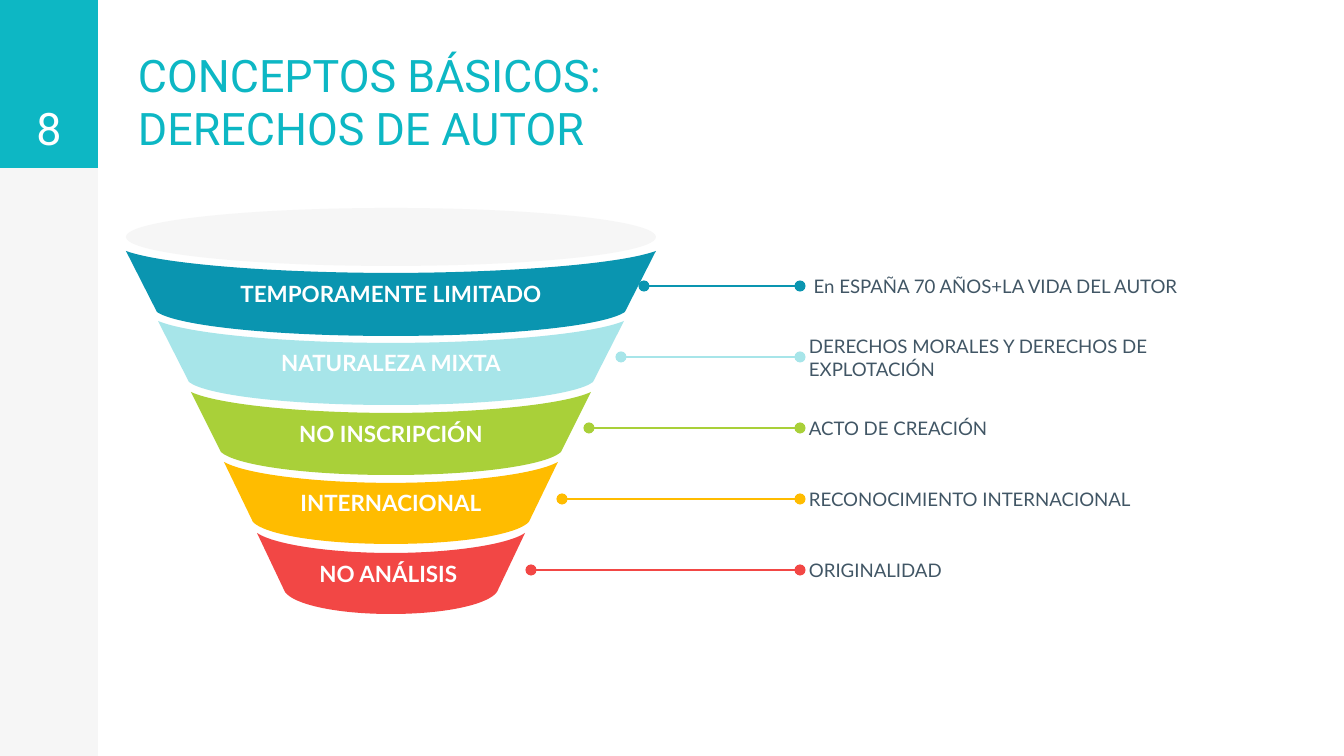
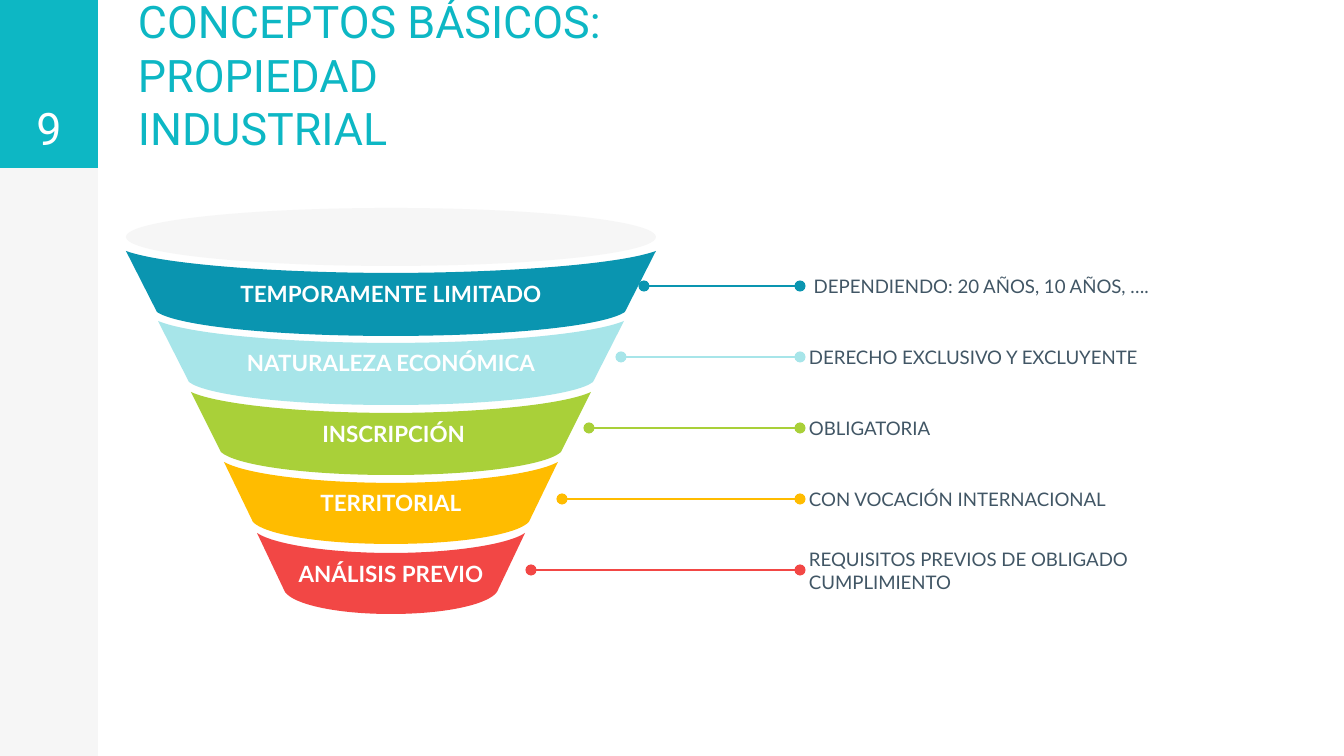
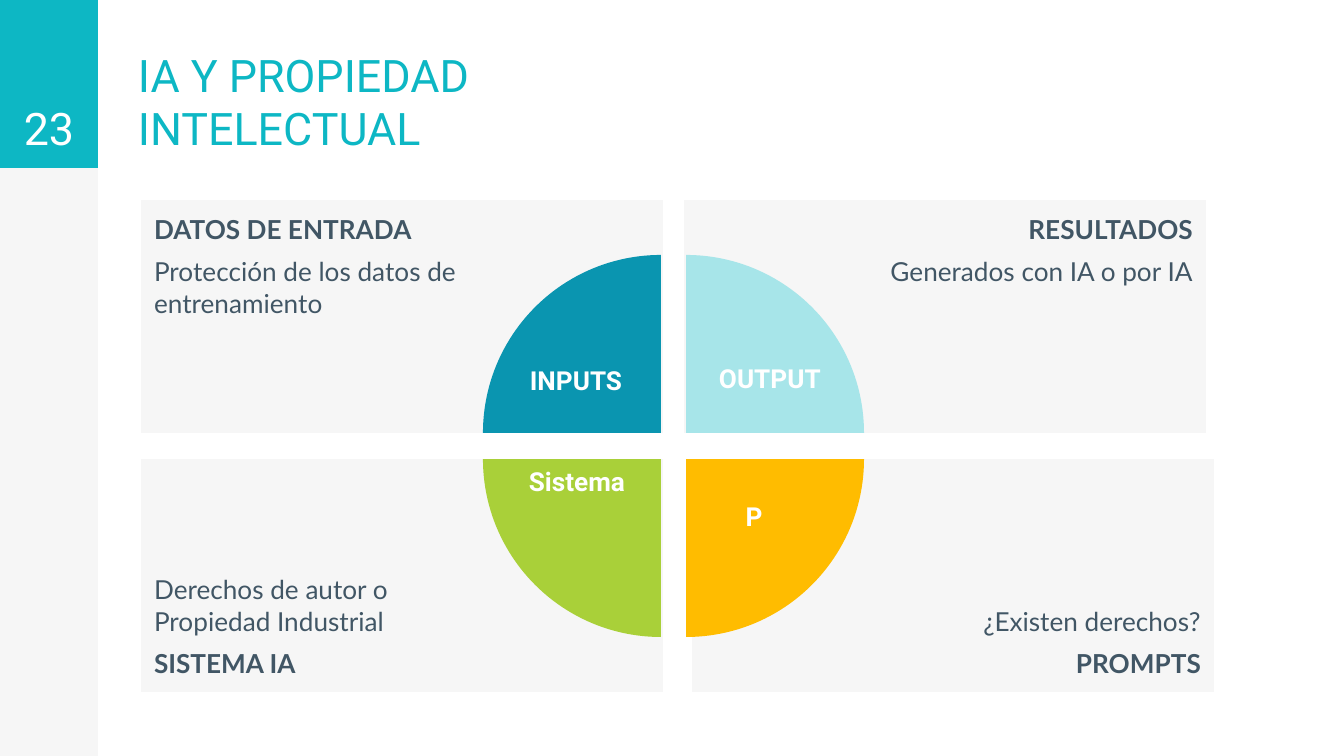
from lxml import etree
from pptx import Presentation
from pptx.dml.color import RGBColor
from pptx.enum.shapes import MSO_CONNECTOR, MSO_SHAPE
from pptx.enum.text import MSO_ANCHOR, MSO_AUTO_SIZE, PP_ALIGN
from pptx.oxml.ns import qn
from pptx.util import Emu, Pt

RECT, OVAL, PIE = MSO_SHAPE.RECTANGLE, MSO_SHAPE.OVAL, MSO_SHAPE.PIE
STRAIGHT = MSO_CONNECTOR.STRAIGHT
TOP, MIDDLE, BOTTOM = MSO_ANCHOR.TOP, MSO_ANCHOR.MIDDLE, MSO_ANCHOR.BOTTOM
LEFT, CENTER, RIGHT = PP_ALIGN.LEFT, PP_ALIGN.CENTER, PP_ALIGN.RIGHT
NO_AUTOFIT = MSO_AUTO_SIZE.NONE

# Shared style
EMU_PER_PX = 914400 / 134.4
SLIDE_W, SLIDE_H = 1344, 756
SIDEBAR_W, HEADER_H = 98, 168
TEAL, PALE, SLATE, WHITE = "0DB7C4", "F6F6F6", "415665", "FFFFFF"
BLUE, AQUA, GREEN, AMBER, RED = "0A95B0", "A7E5E9", "A9D039", "FFBC00", "F24745"
HEAD_FONT, BODY_FONT = "Roboto", "Lato"
HEADER_INSETS = (14, 14, 14, 14)
TITLE_ONLY = 5

# Funnel geometry
FUNNEL_CENTER = 391
FUNNEL_COLORS = (BLUE, AQUA, GREEN, AMBER, RED)
LEADER_STARTS = (644, 621, 589, 562, 531)
LEADER_END = 800


def px(length):
    return Emu(round(length * EMU_PER_PX))


def color(hex_code):
    return RGBColor.from_string(hex_code)


def write(frame, text, font=BODY_FONT, size=14, ink=SLATE, bold_lines=(),
          align=LEFT, anchor=TOP, insets=(13, 13, 13, 13), gap=0):
    """Fill a text frame, one paragraph per line; insets are left, top, right, bottom."""
    frame.word_wrap = True
    frame.auto_size = NO_AUTOFIT
    frame.vertical_anchor = anchor
    (frame.margin_left, frame.margin_top,
     frame.margin_right, frame.margin_bottom) = map(px, insets)
    for index, line in enumerate(text.split("\n")):
        paragraph = frame.add_paragraph() if index else frame.paragraphs[0]
        paragraph.alignment = align
        if index:
            paragraph.space_before = paragraph.space_after = Pt(gap)
        run = paragraph.add_run()
        run.text = line
        run.font.name = font
        run.font.size = Pt(size)
        run.font.bold = index in bold_lines
        run.font.color.rgb = color(ink)


def arc(half_width, edge_y, middle_y, inner_pull, outer_pull, sag):
    """Two Bezier curves, left to right, through the funnel's axis."""
    inner = inner_pull * half_width
    outer = outer_pull * half_width
    sag_y = edge_y + sag * (middle_y - edge_y)
    offsets = ((-half_width, edge_y), (-outer, sag_y), (-inner, middle_y), (0, middle_y),
               (inner, middle_y), (outer, sag_y), (half_width, edge_y))
    return [(FUNNEL_CENTER + x, y) for x, y in offsets]


def funnel_outline(level):
    """Control points of a band: a start, then three for each curve."""
    rim = arc(265 - 131 * level // 4, 251 + 141 * level // 2, 273 + 70 * level,
              0.42, 0.86, 0.62)
    base = arc(234 - 32 * level, 312 + 70 * level, 336 + 139 * level // 2,
               0.53, 0.92, 0.55)[::-1]
    return rim + [base[0]] * 2 + base


class Deck:
    def __init__(self):
        self.presentation = Presentation()
        self.presentation.slide_width = px(SLIDE_W)
        self.presentation.slide_height = px(SLIDE_H)
        self.slide = None

    def new_slide(self, title, number):
        layout = self.presentation.slide_layouts[TITLE_ONLY]
        self.slide = self.presentation.slides.add_slide(layout)
        self.shape(RECT, 0, 0, SIDEBAR_W, SLIDE_H, PALE)
        self.shape(RECT, 0, 0, SIDEBAR_W, HEADER_H, TEAL)
        heading = self.slide.shapes.title
        heading.left, heading.top = px(124), px(1)
        heading.width, heading.height = px(523), px(HEADER_H)
        write(heading.text_frame, title, font=HEAD_FONT, size=24, ink=TEAL,
              anchor=BOTTOM, insets=HEADER_INSETS)
        self.text(number, 0, 0, SIDEBAR_W, HEADER_H, font=HEAD_FONT, size=24,
                  ink=WHITE, align=CENTER, anchor=BOTTOM, insets=HEADER_INSETS)

    def paint(self, shape, fill):
        shape.shadow.inherit = False
        shape.fill.solid()
        shape.fill.fore_color.rgb = color(fill)
        shape.line.fill.background()
        return shape

    def shape(self, kind, left, top, width, height, fill):
        added = self.slide.shapes.add_shape(kind, px(left), px(top), px(width), px(height))
        return self.paint(added, fill)

    def curved(self, points, fill):
        """Freeform whose segments, taken in threes, become Bezier curves."""
        start, *controls = [(px(x), px(y)) for x, y in points]
        builder = self.slide.shapes.build_freeform(*start, scale=1.0)
        builder.add_line_segments(controls, close=True)
        band = builder.convert_to_shape()
        segments = list(band.element.iter(qn("a:lnTo")))
        for first in range(0, len(segments), 3):
            curve = etree.Element(qn("a:cubicBezTo"))
            segments[first].addprevious(curve)
            for segment in segments[first:first + 3]:
                curve.append(segment[0])
                segment.getparent().remove(segment)
        return self.paint(band, fill)

    def text(self, text, left, top, width, height, **style):
        box = self.slide.shapes.add_textbox(px(left), px(top), px(width), px(height))
        write(box.text_frame, text, **style)

    def leader(self, start_x, end_x, y, ink):
        """Horizontal line with a dot at each end."""
        line = self.slide.shapes.add_connector(STRAIGHT, px(start_x), px(y), px(end_x), px(y))
        line.line.color.rgb = color(ink)
        line.line.width = Pt(0.75)
        properties = line.element.spPr
        stroke = properties.find(qn("a:ln"))
        for end in ("a:headEnd", "a:tailEnd"):
            etree.SubElement(stroke, qn(end), type="oval")
        etree.SubElement(properties, qn("a:effectLst"))

    def funnel(self, levels):
        for level, ((concept, _), fill) in enumerate(zip(levels, FUNNEL_COLORS)):
            band = self.curved(funnel_outline(level), fill)
            write(band.text_frame, concept, size=12, ink=WHITE, bold_lines=(0,),
                  align=CENTER, anchor=MIDDLE, insets=(10, 5, 10, 5))
        self.shape(OVAL, 126, 208, 530, 58, PALE)
        for level, (_, detail) in enumerate(levels):
            y = 286 + 71 * level
            self.leader(LEADER_STARTS[level], LEADER_END, y, FUNNEL_COLORS[level])
            self.text(detail, 809, y - 25, 410, 51, size=10, anchor=MIDDLE,
                      insets=(0, 0, 0, 0))

    def card(self, text, left, top, heading_line, on_right, anchor):
        panel = self.shape(RECT, left, top, 522, 233, PALE)
        write(panel.text_frame, text, bold_lines=(heading_line,), gap=6, anchor=anchor,
              align=RIGHT if on_right else LEFT,
              insets=(202, 13, 13, 13) if on_right else (13, 13, 202, 13))

    def quadrant(self, left, top, rotation, fill):
        sector = self.shape(PIE, left, top, 356, 356, fill)
        sector.adjustments[0], sector.adjustments[1] = 108, 162
        sector.rotation = rotation


def main():
    deck = Deck()

    # Copyright
    deck.new_slide("CONCEPTOS BÁSICOS: DERECHOS DE AUTOR", "8")
    deck.funnel((
        ("TEMPORAMENTE LIMITADO", " En ESPAÑA 70 AÑOS+LA VIDA DEL AUTOR"),
        ("NATURALEZA MIXTA", "DERECHOS MORALES Y DERECHOS DE EXPLOTACIÓN"),
        ("NO INSCRIPCIÓN", "ACTO DE CREACIÓN"),
        ("INTERNACIONAL", "RECONOCIMIENTO INTERNACIONAL"),
        ("NO ANÁLISIS ", "ORIGINALIDAD"),
    ))

    # Industrial property
    deck.new_slide("CONCEPTOS BÁSICOS: PROPIEDAD INDUSTRIAL", "9")
    deck.funnel((
        ("TEMPORAMENTE LIMITADO", " DEPENDIENDO: 20 AÑOS, 10 AÑOS, …."),
        ("NATURALEZA ECONÓMICA", "DERECHO EXCLUSIVO Y EXCLUYENTE"),
        (" INSCRIPCIÓN", "OBLIGATORIA"),
        ("TERRITORIAL", "CON VOCACIÓN INTERNACIONAL"),
        ("ANÁLISIS PREVIO", "REQUISITOS PREVIOS DE OBLIGADO CUMPLIMIENTO"),
    ))

    # AI and intellectual property
    deck.new_slide("IA Y PROPIEDAD INTELECTUAL", "23")
    for text, left, top, heading_line, on_right, anchor in (
        ("DATOS DE ENTRADA\nProtección de los datos de entrenamiento", 141, 200, 0, False, TOP),
        ("RESULTADOS\nGenerados con IA o por IA", 684, 200, 0, True, TOP),
        ("Derechos de autor o Propiedad Industrial\nSISTEMA IA", 141, 459, 1, False, BOTTOM),
        ("¿Existen derechos?\nPROMPTS", 692, 459, 1, True, BOTTOM),
    ):
        deck.card(text, left, top, heading_line, on_right, anchor)

    # Quarter circles, clockwise from the top left
    for turn, (left, top, fill) in enumerate((
        (483, 255, BLUE), (508, 255, AQUA), (508, 281, AMBER), (483, 281, GREEN),
    )):
        deck.quadrant(left, top, 90 * turn, fill)
    for caption, left, top, width, height in (
        ("INPUTS", 508, 358, 136, 67), ("OUTPUT", 692, 356, 156, 68),
        ("Sistema", 492, 459, 170, 67), ("P", 731, 494, 46, 66),
    ):
        deck.text(caption, left, top, width, height, font=HEAD_FONT, ink=WHITE,
                  bold_lines=(0,), align=CENTER, insets=(13, 6, 13, 6))

    deck.presentation.save("out.pptx")


if __name__ == "__main__":
    main()
